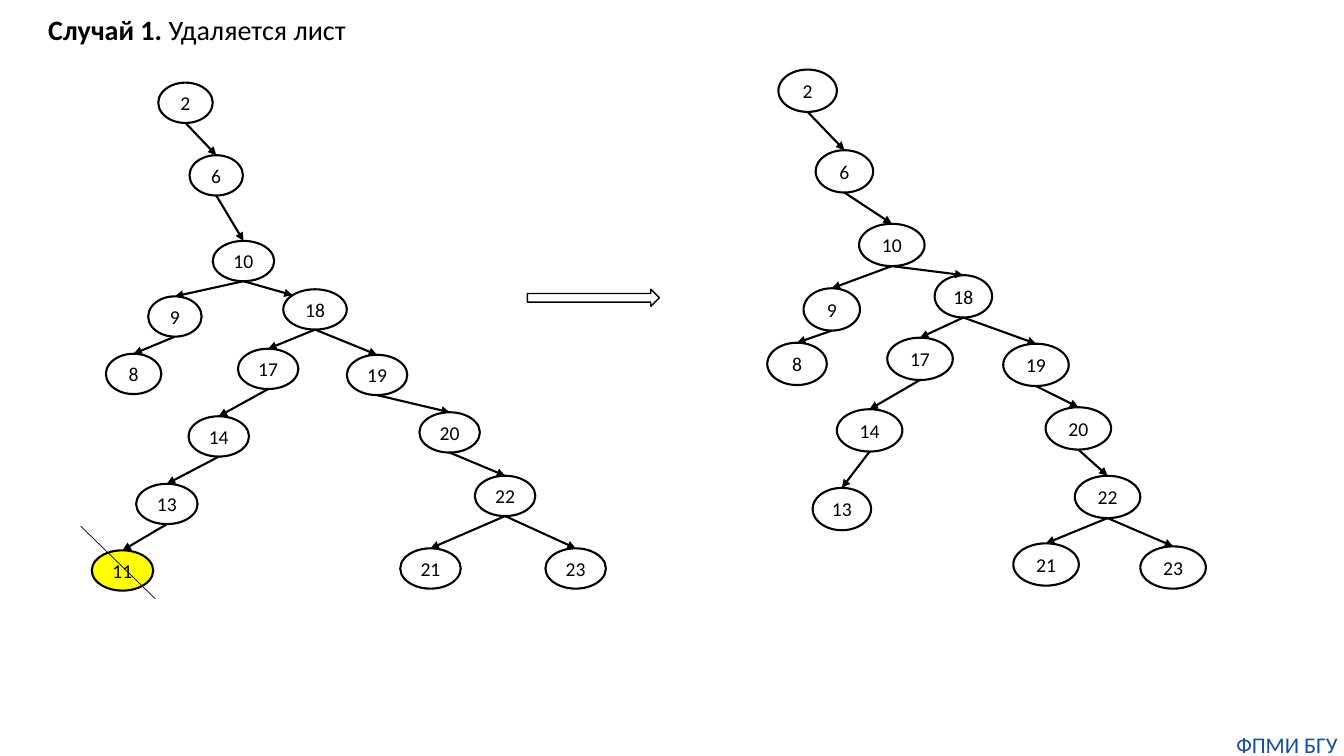
import math

import pptx
import pptx.dml.color
import pptx.enum.shapes
import pptx.enum.text
import pptx.oxml.ns
import pptx.util
from lxml import etree

Inches, Pt = pptx.util.Inches, pptx.util.Pt
SHAPE = pptx.enum.shapes.MSO_SHAPE
STRAIGHT = pptx.enum.shapes.MSO_CONNECTOR.STRAIGHT
ALIGN = pptx.enum.text.PP_ALIGN
ANCHOR = pptx.enum.text.MSO_ANCHOR
AUTO_SIZE = pptx.enum.text.MSO_AUTO_SIZE
qn = pptx.oxml.ns.qn

BLACK, YELLOW, BLUE = "000000", "FFFF00", "144E9D"
TITLE = [("Случай 1.", True), (" Удаляется лист", False)]
FOOTER = [("ФПМИ БГУ", False)]
DELETED = 11
TOP_SITE, TOP_LEFT_SITE, BOTTOM_SITE = 0, 1, 4

PARENTS = {6: 2, 10: 6, 9: 10, 8: 9, 18: 10, 17: 18, 14: 17, 13: 14, 11: 13,
           19: 18, 20: 19, 22: 20, 21: 22, 23: 22}

BEFORE = {
    "height": 0.4,
    "corner_entries": {18},
    "nodes": {
        2: (1.57, 0.82, 0.54), 6: (1.88, 1.54, 0.53), 10: (2.11, 2.39, 0.61),
        9: (1.47, 2.94, 0.53), 8: (1.05, 3.51, 0.55), 18: (2.81, 2.87, 0.63),
        17: (2.36, 3.46, 0.6), 14: (1.87, 4.13, 0.6), 13: (1.35, 4.8, 0.61),
        11: (0.91, 5.46, 0.61), 19: (3.44, 3.52, 0.6), 20: (4.16, 4.09, 0.6),
        22: (4.71, 4.72, 0.6), 21: (3.97, 5.44, 0.6), 23: (5.41, 5.44, 0.6),
    },
}
AFTER = {
    "height": 0.42,
    "corner_entries": set(),
    "nodes": {
        2: (7.72, 0.69, 0.58), 6: (8.09, 1.49, 0.57), 10: (8.52, 2.22, 0.65),
        9: (7.97, 2.86, 0.56), 8: (7.61, 3.4, 0.59), 18: (9.27, 2.73, 0.57),
        17: (8.8, 3.35, 0.65), 14: (8.3, 4.06, 0.65), 13: (8.06, 4.84, 0.58),
        19: (9.95, 3.41, 0.65), 20: (10.37, 4.04, 0.65), 22: (10.66, 4.72, 0.65),
        21: (10.05, 5.39, 0.65), 23: (11.31, 5.42, 0.65),
    },
}


def color(code):
    return pptx.dml.color.RGBColor.from_string(code)


def write(shape, runs, size=14, ink=BLACK, align=ALIGN.CENTER,
          anchor=ANCHOR.TOP, wrap=False, insets=(0, 0), grow=False):
    frame = shape.text_frame
    frame.word_wrap = wrap
    frame.auto_size = AUTO_SIZE.SHAPE_TO_FIT_TEXT if grow else AUTO_SIZE.NONE
    frame.vertical_anchor = anchor
    frame.margin_left = frame.margin_right = Inches(insets[0])
    frame.margin_top = frame.margin_bottom = Inches(insets[1])
    paragraph = frame.paragraphs[0]
    paragraph.alignment = align
    for text, bold in runs:
        run = paragraph.add_run()
        run.text = text
        run.font.name = "Calibri"
        run.font.size = Pt(size)
        run.font.bold = bold
        run.font.color.rgb = color(ink)


def outlined(shapes, kind, box, weight, fill=None):
    shape = shapes.add_shape(kind, *map(Inches, box))
    shape.shadow.inherit = False
    if fill:
        shape.fill.solid()
        shape.fill.fore_color.rgb = color(fill)
    else:
        shape.fill.background()
    shape.line.color.rgb = color(BLACK)
    shape.line.width = Pt(weight)
    return shape


def stroke(shapes, start, end, weight, arrow=False):
    line = shapes.add_connector(STRAIGHT, *map(Inches, start + end))
    line.line.color.rgb = color(BLACK)
    line.line.width = Pt(weight)
    if arrow:
        etree.SubElement(line.line._get_or_add_ln(), qn("a:tailEnd"), type="triangle")
    etree.SubElement(line._element.spPr, qn("a:effectLst"))
    return line


def site_point(box, site):
    left, top, width, height = box
    angle = math.radians(90 + 45 * site)
    return (left + width / 2 * (1 + math.cos(angle)),
            top + height / 2 * (1 - math.sin(angle)))


def attach(line, tag, node, site):
    links = line._element.find(".//" + qn("p:cNvCxnSpPr"))
    etree.SubElement(links, qn(tag), id=str(node.shape_id), idx=str(site))


def draw_tree(slide, tree):
    shapes = slide.shapes.add_group_shape().shapes
    boxes = {key: place + (tree["height"],) for key, place in tree["nodes"].items()}
    nodes = {}
    for key, box in boxes.items():
        fill = YELLOW if key == DELETED else None
        nodes[key] = outlined(shapes, SHAPE.OVAL, box, 1.5, fill)
        write(nodes[key], [(str(key), False)], anchor=ANCHOR.MIDDLE)
    for child, parent in PARENTS.items():
        if child not in nodes:
            continue
        entry = TOP_LEFT_SITE if child in tree["corner_entries"] else TOP_SITE
        edge = stroke(shapes, site_point(boxes[parent], BOTTOM_SITE),
                      site_point(boxes[child], entry), 1.5, arrow=True)
        attach(edge, "a:stCxn", nodes[parent], BOTTOM_SITE)
        attach(edge, "a:endCxn", nodes[child], entry)


def main():
    deck = pptx.Presentation()
    deck.slide_width, deck.slide_height = Inches(13.33), Inches(7.5)
    slide = deck.slides.add_slide(deck.slide_layouts[6])
    for tree in (BEFORE, AFTER):
        draw_tree(slide, tree)
    outlined(slide.shapes, SHAPE.RIGHT_ARROW, (5.23, 2.87, 1.31, 0.17), 1)
    stroke(slide.shapes, (0.8, 5.22), (1.54, 5.94), 0.5)
    footer = slide.shapes.add_textbox(*map(Inches, (12.2, 7.25, 1.13, 0.27)))
    write(footer, FOOTER, size=16, ink=BLUE, wrap=True, grow=True)
    title = slide.shapes.add_textbox(*map(Inches, (0.38, 0.07, 3.24, 0.44)))
    write(title, TITLE, size=20, align=ALIGN.LEFT, insets=(0.1, 0.05), grow=True)
    deck.save("out.pptx")


if __name__ == "__main__":
    main()
